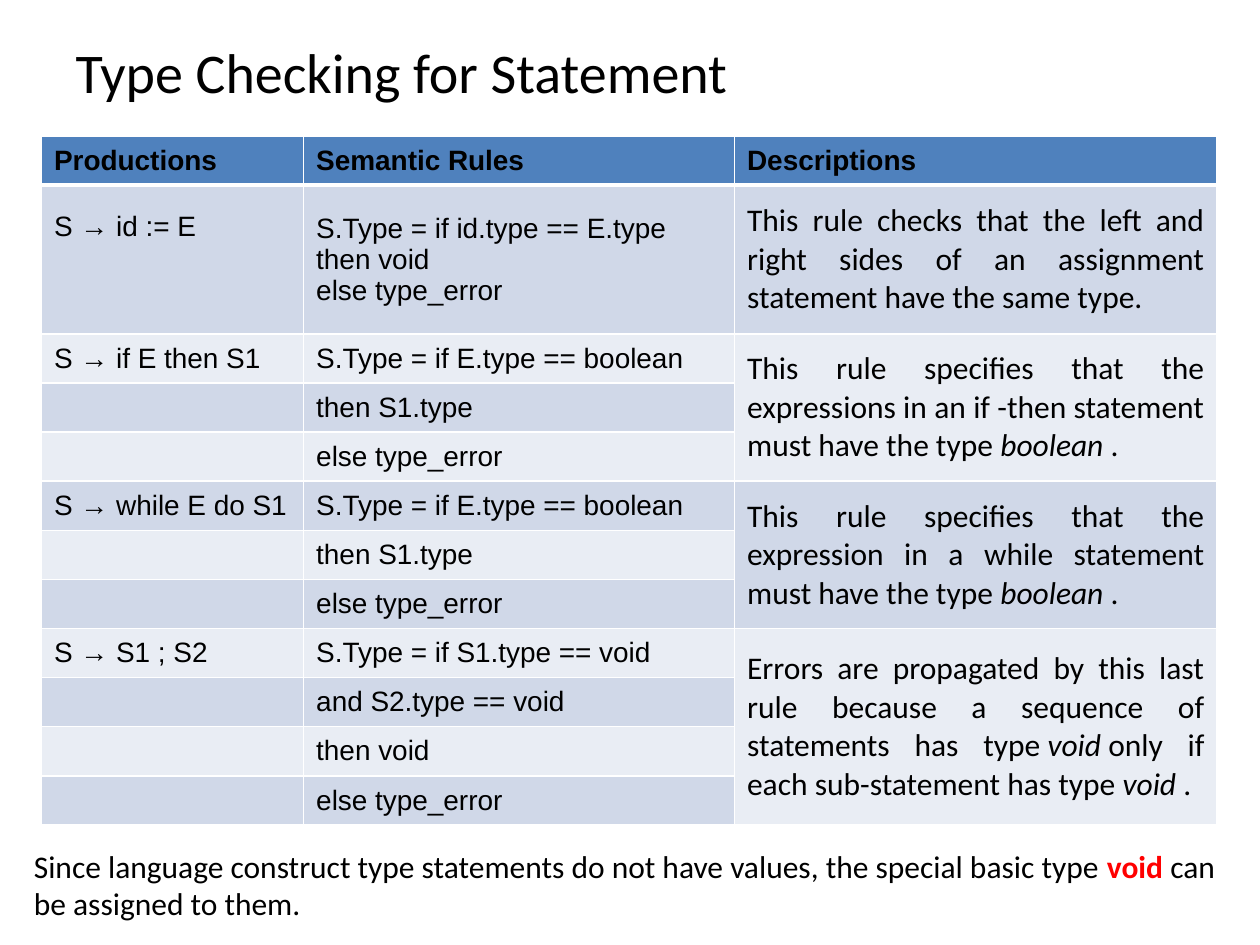
import dataclasses
import pptx
import pptx.util
import pptx.oxml
import pptx.oxml.ns
import pptx.dml.color
import pptx.enum.text

Inches, Pt = pptx.util.Inches, pptx.util.Pt
RGB = pptx.dml.color.RGBColor
ALIGN, ANCHOR = pptx.enum.text.PP_ALIGN, pptx.enum.text.MSO_ANCHOR

BLACK = RGB(0x00, 0x00, 0x00)
RED = RGB(0xFF, 0x00, 0x00)
BLUE = RGB(0x4F, 0x81, 0xBD)
BANDS = [RGB(0xD0, 0xD8, 0xE8), RGB(0xE9, 0xED, 0xF4)]
WHITE = RGB(0xFF, 0xFF, 0xFF)

TITLE = {"name": "Calibri", "size": Pt(32), "bold": False}
PROSE = {"name": "Calibri", "size": Pt(18), "bold": False}
CODE = {"name": "Arial", "size": Pt(16), "bold": False}
HEAD = {**CODE, "bold": True}
SLANT = {"italic": True}
ALERT = {"bold": True, "color": RED}

# Text between asterisks takes the accent format
HEADS = ["Productions", "Semantic Rules", "Descriptions"]
RULES = [
    ("S\u00a0→\u00a0id := E",
     ["S.Type = if id.type == E.type\nthen void\nelse type_error"],
     "This rule checks that the left and right sides of an assignment "
     "statement have the same type."),
    ("S\u00a0→\u00a0if E then S1",
     ["S.Type = if E.type == boolean", "then S1.type", "else type_error"],
     "This rule specifies that the expressions in an if -then statement "
     "must have the type\u00a0*boolean\u00a0*."),
    ("S\u00a0→\u00a0while E do S1",
     ["S.Type = if E.type == boolean", "then S1.type", "else type_error"],
     "This rule specifies that the expression in a while statement "
     "must have the type\u00a0*boolean\u00a0*."),
    ("S\u00a0→\u00a0S1 ; S2",
     ["S.Type = if S1.type == void", "and S2.type == void", "then void",
      "else type_error"],
     "Errors are propagated by this last rule because a sequence of "
     "statements has type\u00a0*void\u00a0*only if each sub-statement has "
     "type\u00a0*void\u00a0*."),
]
NOTE = ("Since language construct type statements do not have values, the "
        "special basic type *void* can be assigned to them.")


@dataclasses.dataclass
class Page:
    slide: object
    ink: object = BLACK
    edge: object = WHITE

    def text(self, frame, words, style, align=ALIGN.LEFT, accent=SLANT):
        for i, line in enumerate(words.split("\n")):
            para = frame.add_paragraph() if i else frame.paragraphs[0]
            para.alignment = align
            for j, part in enumerate(line.split("*")):
                if not part:
                    continue
                run = para.add_run()
                run.text = part
                look = {"color": self.ink, **style, **(accent if j % 2 else {})}
                run.font.color.rgb = look.pop("color")
                for key, value in look.items():
                    setattr(run.font, key, value)

    def title(self, words, box):
        shape = self.slide.shapes.title
        shape.left, shape.top, shape.width, shape.height = box
        shape.text_frame.auto_size = pptx.enum.text.MSO_AUTO_SIZE.NONE
        shape.text_frame.vertical_anchor = ANCHOR.MIDDLE
        self.text(shape.text_frame, words, TITLE)

    def note(self, words, box):
        frame = self.slide.shapes.add_textbox(*box).text_frame
        frame.word_wrap = True
        self.text(frame, words, PROSE, accent=ALERT)

    def table(self, rows, box, widths, heights):
        grid = self.slide.shapes.add_table(rows, len(widths), *box).table
        for col, width in zip(grid.columns, widths):
            col.width = Inches(width)
        for row, height in zip(grid.rows, heights):
            row.height = Inches(height)
        for r in range(rows):
            for c in range(len(widths)):
                cell = grid.cell(r, c)
                cell.margin_top = cell.margin_bottom = Inches(0.03)
                cell.vertical_anchor = ANCHOR.MIDDLE
                cell.fill.solid()
                cell.fill.fore_color.rgb = BANDS[(r - 1) % 2] if r else BLUE
                self.border(cell, {"L": 1, "R": 1, "T": 3 if r == 1 else 1,
                                   "B": 1 if r else 3})
        return grid

    def border(self, cell, sides):
        props = cell._tc.get_or_add_tcPr()
        for i, (side, width) in enumerate(sides.items()):
            props.insert(i, pptx.oxml.parse_xml(
                f'<a:ln{side} {pptx.oxml.ns.nsdecls("a")} w="{int(Pt(width))}">'
                f'<a:solidFill><a:srgbClr val="{self.edge}"/></a:solidFill>'
                f'</a:ln{side}>'))


deck = pptx.Presentation()
deck.slide_width, deck.slide_height = Inches(10), Inches(7.5)
page = Page(deck.slides.add_slide(deck.slide_layouts[5]))

# Title
page.title("Type Checking for Statement",
           [Inches(v) for v in (0.5, 0.3, 9, 0.53)])

# Table of rules
count = 1 + sum(len(steps) for _, steps, _ in RULES)
heights = [0.39, 1.18] + [0.39] * (count - 2)
grid = page.table(count, [Inches(v) for v in (0.33, 1.08, 9.33, 5.5)],
                  [2.08, 3.42, 3.83], heights)
for c, words in enumerate(HEADS):
    page.text(grid.cell(0, c).text_frame, words, HEAD)
top = 1
for form, steps, about in RULES:
    page.text(grid.cell(top, 0).text_frame, form, CODE, ALIGN.JUSTIFY)
    for i, step in enumerate(steps):
        page.text(grid.cell(top + i, 1).text_frame, step, CODE, ALIGN.JUSTIFY)
    last = top + len(steps) - 1
    if last > top:
        grid.cell(top, 2).merge(grid.cell(last, 2))
    page.text(grid.cell(top, 2).text_frame, about, PROSE, ALIGN.JUSTIFY)
    top = last + 1

# First production lines up with the first line of its rule
first = grid.cell(1, 0)
first.vertical_anchor = ANCHOR.TOP
first.margin_top = Inches(0.21)

# Closing remark
page.note(NOTE, [Inches(v) for v in (0.17, 6.67, 9.58, 0.71)])

deck.save("out.pptx")
